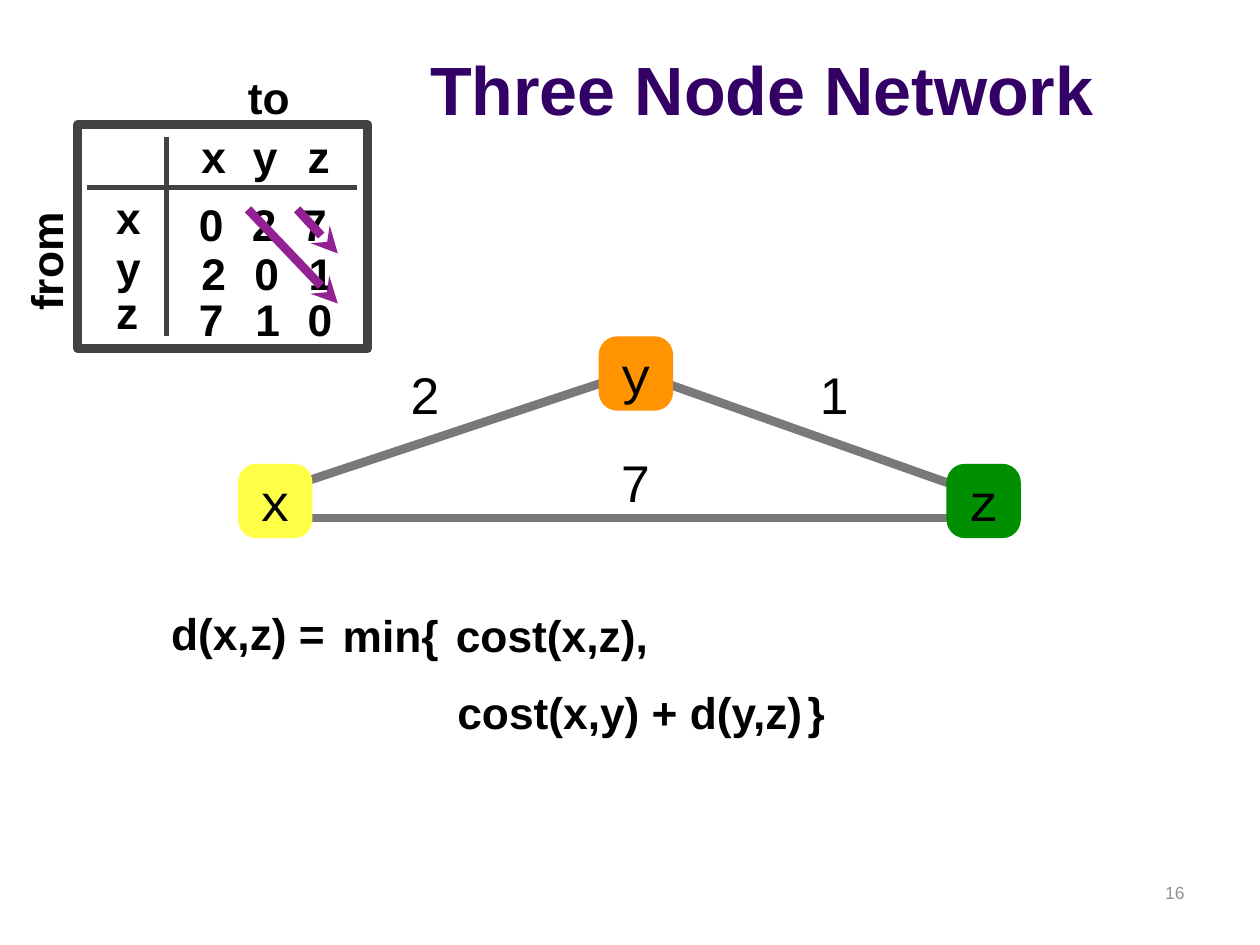
from lxml import etree
from pptx import Presentation
from pptx.dml.color import RGBColor
from pptx.enum import shapes, text
from pptx.oxml import ns
from pptx.util import Cm, Pt

BLACK = RGBColor(0x00, 0x00, 0x00)
INDIGO = RGBColor(0x33, 0x00, 0x66)
PAGE_GRAY = RGBColor(0x91, 0x91, 0x91)
LINK_GRAY = RGBColor(0x79, 0x79, 0x79)
FRAME_GRAY = RGBColor(0x42, 0x42, 0x42)
PURPLE = RGBColor(0x94, 0x21, 0x93)
YELLOW = RGBColor(0xFF, 0xFF, 0x47)
GREEN = RGBColor(0x00, 0x8F, 0x00)
ORANGE = RGBColor(0xFF, 0x93, 0x00)

BOLD = {"name": "Arial", "size": Pt(25.3), "bold": True}
COST = {"name": "Arial", "size": Pt(29.5)}
NODE = {"name": "Courier New", "size": Pt(29.5)}
TITLE = {"name": "Arial", "size": Pt(39), "bold": True}
PAGE = {"name": "Arial", "size": Pt(10)}

# All places are in centimetres.
NODE_SIZE = 1.5
NODES = [("x", 4.8, 9.35, YELLOW), ("z", 19.08, 9.35, GREEN), ("y", 12.07, 6.78, ORANGE)]
LINKS = [  # start, end
    ((12.34, 7.65), (5.94, 9.78)),
    ((6.12, 10.44), (19.63, 10.44)),
    ((13.21, 7.65), (19.66, 9.93)),
]
LINK_COSTS = [("7", 12.42, 8.97), ("2", 8.18, 7.21), ("1", 16.43, 7.21)]

FRAME = (1.57, 2.51, 5.84, 4.52)
RULES = [((1.75, 3.78), (7.19, 3.78)), ((3.35, 6.78), (3.35, 2.77))]
CELL_WIDTH, CELL_HEIGHT = 0.74, 1.3
ROW_LABEL_LEFT, ROW_LABEL_RISE = 2.24, 0.13
MATRIX = [  # row label, top, cells with their left edges
    ("", 2.5, [("x", 3.96), ("y", 5.0), ("z", 6.1)]),
    ("x", 3.86, [("0", 3.91), ("2", 4.98), ("7", 5.99)]),
    ("y", 4.85, [("2", 3.96), ("0", 5.03), ("1", 6.12)]),
    ("z", 5.77, [("7", 3.91), ("1", 5.05), ("0", 6.1)]),
]
AXES = [("from", (-0.33, 4.47, 2.49, 1.3), 270), ("to", (4.9, 1.3, 1.3, 1.3), 0)]
UPDATES = [((5.99, 4.22), (6.81, 5.11)), ((5.0, 4.22), (6.81, 6.12))]

FORMULA_HEIGHT = 1.27
FORMULA = [
    ("d(x,z) =", 3.35, 12.12, 4.11),
    ("cost(x,z),", 9.09, 12.17, 4.17),
    ("cost(x,y) + d(y,z)", 9.12, 13.72, 7.47),
    ("min{", 6.81, 12.17, 2.16),
    ("}", 16.18, 13.72, 2.9),
]

presentation = Presentation()
presentation.slide_width, presentation.slide_height = Cm(25.4), Cm(19.05)
slide = presentation.slides.add_slide(presentation.slide_layouts[6])


def write(shape, wording, font, color=BLACK, align=text.PP_ALIGN.LEFT,
          anchor=text.MSO_ANCHOR.MIDDLE, inset=0.1):
    frame = shape.text_frame
    frame.word_wrap = True
    frame.vertical_anchor = anchor
    for side in ("left", "top", "right", "bottom"):
        setattr(frame, f"margin_{side}", Cm(inset))
    paragraph = frame.paragraphs[0]
    paragraph.alignment = align
    run = paragraph.add_run()
    run.text = wording
    for name, value in font.items():
        setattr(run.font, name, value)
    run.font.color.rgb = color


def add_text(wording, place, font, **options):
    box = slide.shapes.add_textbox(*map(Cm, place))
    write(box, wording, font, **options)
    return box


def add_line(start, end, color, width, arrow=False):
    line = slide.shapes.add_connector(shapes.MSO_CONNECTOR.STRAIGHT, *map(Cm, start + end))
    line.line.color.rgb = color
    line.line.width = Pt(width)
    if arrow:
        tip = etree.SubElement(line.line._get_or_add_ln(), ns.qn("a:tailEnd"))
        tip.set("type", "stealth")
    etree.SubElement(line._element.spPr, ns.qn("a:effectLst"))


def add_network():
    for start, end in LINKS:
        add_line(start, end, LINK_GRAY, 5)
    for name, left, top, color in NODES:
        node = slide.shapes.add_shape(shapes.MSO_SHAPE.ROUNDED_RECTANGLE,
                                      *map(Cm, (left, top, NODE_SIZE, NODE_SIZE)))
        node.adjustments[0] = 0.25
        node.shadow.inherit = False
        node.fill.solid()
        node.fill.fore_color.rgb = color
        node.line.fill.background()
        write(node, name, NODE, align=text.PP_ALIGN.CENTER, inset=0)
    for cost, left, top in LINK_COSTS:
        add_text(cost, (left, top, 0.74, 1.47), COST)


def add_matrix():
    frame = slide.shapes.add_shape(shapes.MSO_SHAPE.RECTANGLE, *map(Cm, FRAME))
    frame.shadow.inherit = False
    frame.fill.background()
    frame.line.color.rgb = FRAME_GRAY
    frame.line.width = Pt(5)
    for start, end in RULES:
        add_line(start, end, FRAME_GRAY, 3)
    for label, top, cells in MATRIX:
        if label:
            add_text(label, (ROW_LABEL_LEFT, top - ROW_LABEL_RISE, CELL_WIDTH, CELL_HEIGHT), BOLD)
        for value, left in cells:
            add_text(value, (left, top, CELL_WIDTH, CELL_HEIGHT), BOLD)
    for name, place, rotation in AXES:
        add_text(name, place, BOLD).rotation = rotation
    for start, end in UPDATES:
        add_line(start, end, PURPLE, 5, arrow=True)


title = add_text("Three Node Network", (0, 0.33, 25.4, 2.41), TITLE, color=INDIGO,
                 align=text.PP_ALIGN.CENTER, anchor=text.MSO_ANCHOR.BOTTOM, inset=0.13)
title.text_frame.margin_left = Cm(5.45)
add_text("16", (18.21, 17.35, 5.92, 1.27), PAGE, color=PAGE_GRAY,
         align=text.PP_ALIGN.RIGHT, anchor=text.MSO_ANCHOR.MIDDLE, inset=0.25)
add_network()
add_matrix()
for wording, left, top, width in FORMULA:
    add_text(wording, (left, top, width, FORMULA_HEIGHT), BOLD)

presentation.save("out.pptx")
